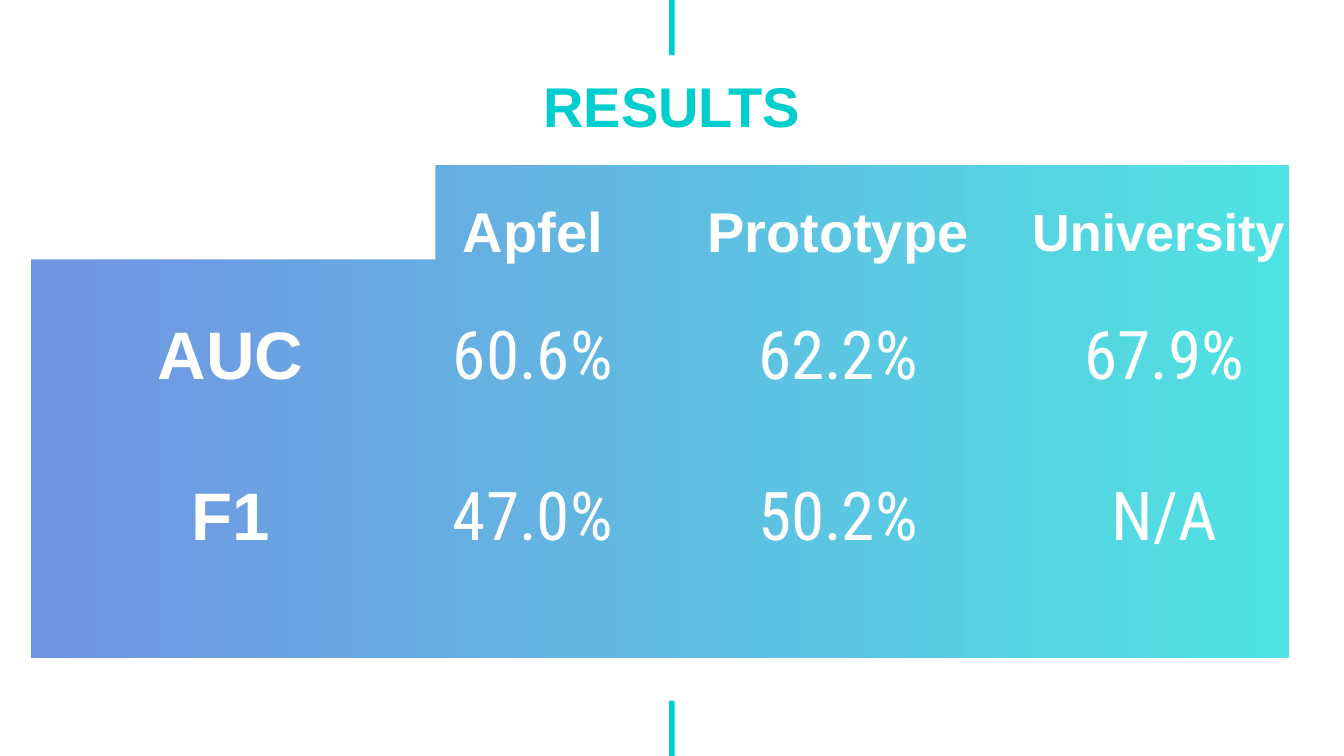
from pptx import Presentation
from pptx.dml.color import RGBColor
from pptx.enum.shapes import MSO_SHAPE
from pptx.enum.text import MSO_ANCHOR, PP_ALIGN
from pptx.util import Inches, Pt

RECTANGLE = MSO_SHAPE.RECTANGLE
TOP, MIDDLE = MSO_ANCHOR.TOP, MSO_ANCHOR.MIDDLE
LEFT, CENTER = PP_ALIGN.LEFT, PP_ALIGN.CENTER
NO_STYLE_NO_GRID = "{2D5ABB26-0587-4C30-8999-92F81FD0307C}"

WIDTH = 10
HEIGHT = WIDTH * 9 / 16
TEAL, WHITE = "00CECE", "FFFFFF"
GRADIENT = ["7194E2", "4FE2E2"]

TITLE = "RESULTS"
RESULTS = [
    ["", "Apfel", "Prototype", "University"],
    ["AUC", "60.6%", "62.2%", "67.9%"],
    ["F1", "47.0%", "50.2%", "N/A"],
]
COLUMN_WIDTHS = [2.61, 1.89, 2.65, 2.21]
ROW_HEIGHTS = [0.89, 0.94, 1.46]
TABLE_LEFT, TABLE_TOP = 0.41, 1.29
CELL_MARGIN = 0.12
TICK_WIDTH, TICK_HEIGHT = 0.04, 0.41

HEADING = {"name": "Arial", "size": Pt(30), "bold": True}
LAST_HEADING = {**HEADING, "size": Pt(28)}
ROW_LABEL = {**HEADING, "size": Pt(36)}
VALUE = {"name": "Roboto Condensed", "size": Pt(36), "bold": False}


def rgb(color):
    return RGBColor.from_string(color)


def add_rectangle(shapes, box, colors):
    """Fill with one colour, or with a left-to-right gradient of two."""
    shape = shapes.add_shape(RECTANGLE, *map(Inches, box))
    shape.shadow.inherit = False
    shape.line.fill.background()
    if len(colors) == 1:
        shape.fill.solid()
        shape.fill.fore_color.rgb = rgb(colors[0])
    else:
        shape.fill.gradient()
        shape.fill.gradient_angle = 0
        for stop, color in zip(shape.fill.gradient_stops, colors):
            stop.color.rgb = rgb(color)


def set_text(frame, text, font_format, color, alignment=CENTER):
    paragraph = frame.paragraphs[0]
    paragraph.alignment = alignment
    run = paragraph.add_run()
    run.text = text
    for name, value in font_format.items():
        setattr(run.font, name, value)
    run.font.color.rgb = rgb(color)


def set_margins(target, margin):
    for side in ("left", "top", "right", "bottom"):
        setattr(target, f"margin_{side}", Inches(margin))


def cell_format(row, column):
    if row == 0:
        return LAST_HEADING if column == len(COLUMN_WIDTHS) - 1 else HEADING
    return ROW_LABEL if column == 0 else VALUE


def add_results_table(slide):
    frame = slide.shapes.add_table(
        len(ROW_HEIGHTS), len(COLUMN_WIDTHS), Inches(TABLE_LEFT), Inches(TABLE_TOP),
        Inches(sum(COLUMN_WIDTHS)), Inches(sum(ROW_HEIGHTS)))
    frame.element.xpath(".//a:tableStyleId")[0].text = NO_STYLE_NO_GRID
    table = frame.table
    table.first_row = table.horz_banding = False
    for column, width in zip(table.columns, COLUMN_WIDTHS):
        column.width = Inches(width)
    for row, height in zip(table.rows, ROW_HEIGHTS):
        row.height = Inches(height)
    for row, texts in enumerate(RESULTS):
        for column, text in enumerate(texts):
            cell = table.cell(row, column)
            cell.fill.background()
            cell.vertical_anchor = MIDDLE
            set_margins(cell, CELL_MARGIN)
            if text:
                font_format = cell_format(row, column)
                alignment = LEFT if font_format is LAST_HEADING else CENTER
                set_text(cell.text_frame, text, font_format, WHITE, alignment)


def add_title(slide):
    box = slide.shapes.add_textbox(*map(Inches, (1.9, 0.43, 6.2, 0.79)))
    frame = box.text_frame
    frame.word_wrap = True
    frame.vertical_anchor = TOP
    set_margins(frame, 0.1)
    set_text(frame, TITLE, HEADING, TEAL)


def main():
    presentation = Presentation()
    presentation.slide_width = Inches(WIDTH)
    presentation.slide_height = Inches(HEIGHT)
    slide = presentation.slides.add_slide(presentation.slide_layouts[6])

    for top in (0, HEIGHT - TICK_HEIGHT):
        box = ((WIDTH - TICK_WIDTH) / 2, top, TICK_WIDTH, TICK_HEIGHT)
        add_rectangle(slide.shapes, box, [TEAL])

    panel = slide.shapes.add_group_shape()
    add_rectangle(panel.shapes, (0.23, 1.23, 9.36, 3.67), GRADIENT)
    add_rectangle(panel.shapes, (0.23, 0.66, 3.01, 1.27), [WHITE])

    add_results_table(slide)
    add_title(slide)
    presentation.save("out.pptx")


if __name__ == "__main__":
    main()
